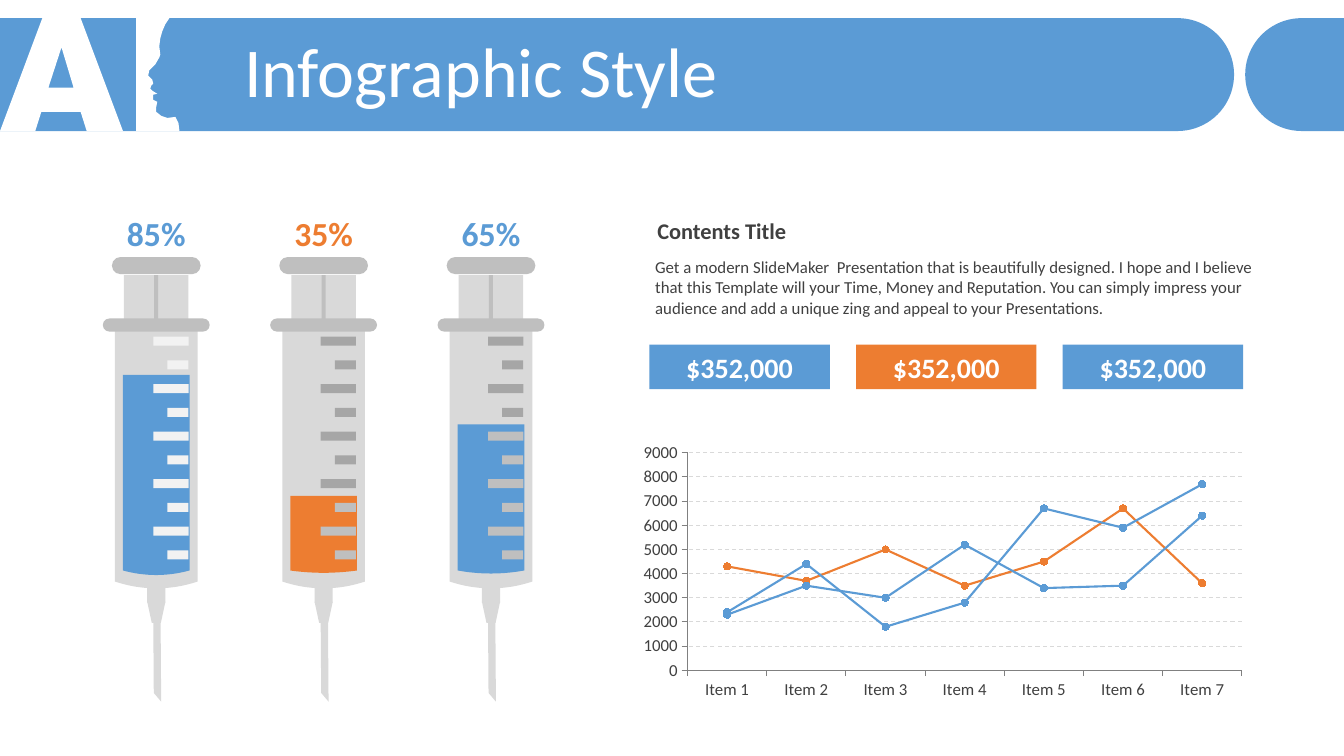
from math import cos, pi, sin
from pptx import Presentation
from pptx.chart import data as cd
from pptx.dml.color import RGBColor
from pptx.enum import chart as ch, dml, shapes as sh, text as tx
from pptx.util import Inches, Pt

COLORS = {"blue": "5B9BD5", "orange": "ED7D31", "white": "FFFFFF", "text": "404040",
          "body": "D9D9D9", "cap": "BFBFBF", "mark": "A6A6A6", "pale": "F2F2F2",
          "axis": "808080"}
RGB = {name: RGBColor.from_string(value) for name, value in COLORS.items()}
SHAPE = sh.MSO_SHAPE


def add(parent, geometry, color, box=None):
    if box:
        sp = parent.shapes.add_shape(geometry, *[Inches(v) for v in box])
    else:
        contours = [[(Inches(x), Inches(y)) for x, y in c] for c in geometry]
        builder = parent.shapes.build_freeform(*contours[0][0], scale=1.0)
        for i, points in enumerate(contours):
            if i:
                builder.move_to(*points[0])
            builder.add_line_segments(points[1:], close=True)
        sp = builder.convert_to_shape()
    sp.shadow.inherit = False
    sp.fill.solid()
    sp.fill.fore_color.rgb = RGB[color]
    sp.line.fill.background()
    return sp


def write(sp, words, size, color, bold=False, align=tx.PP_ALIGN.LEFT, inset=0.1):
    tf = sp.text_frame
    tf.word_wrap = True
    tf.margin_left = tf.margin_right = Inches(inset)
    p = tf.paragraphs[0]
    p.text = words
    p.alignment = align
    p.font.name = "Calibri"
    p.font.size = Pt(size)
    p.font.bold = bold
    p.font.color.rgb = RGB[color]
    return p


prs = Presentation()
prs.slide_width, prs.slide_height = Inches(13.33), Inches(7.5)
s = prs.slides.add_slide(prs.slide_layouts[5])

angles = [pi * i / 40 - pi / 2 for i in range(41)]
right_end = [(11.68 + 0.56 * cos(a), 0.74 + 0.56 * sin(a)) for a in angles]
left_end = [(12.91 - 0.56 * cos(a), 0.74 + 0.56 * sin(a)) for a in angles]
letter = [(0.42, 0.18), (0.8, 0.18), (1.22, 1.3), (0.86, 1.3), (0.8, 1.11),
          (0.41, 1.11), (0.35, 1.3), (0, 1.3)]
letter_hole = [(0.61, 0.47), (0.48, 0.87), (0.73, 0.87)]
profile = [(1.35, 0.18), (1.68, 0.18), (1.64, 0.24), (1.61, 0.31), (1.59, 0.38),
           (1.58, 0.46), (1.59, 0.54), (1.58, 0.57), (1.54, 0.64), (1.51, 0.67),
           (1.48, 0.7), (1.47, 0.75), (1.51, 0.79), (1.52, 0.83), (1.5, 0.85),
           (1.49, 0.88), (1.51, 0.9), (1.56, 0.93), (1.52, 0.94), (1.52, 0.99),
           (1.56, 1.01), (1.55, 1.06), (1.55, 1.11), (1.6, 1.15), (1.66, 1.17),
           (1.74, 1.16), (1.77, 1.22), (1.78, 1.3), (1.35, 1.3)]
add(s, [[(0, 0.18)] + right_end + [(0, 1.3)]], "blue")
add(s, [letter, letter_hole, profile], "white")
add(s, [left_end + [(13.33, 1.3), (13.33, 0.18)]], "blue")

title = s.shapes.title
title._element.getparent().append(title._element)
title.left, title.top, title.width, title.height = [Inches(v) for v in (2.32, 0.37, 10.69, 0.79)]
p = write(title, "Infographic Style", 50, "white")
p.line_spacing, p.space_before = 0.8, Pt(10)
title.text_frame.vertical_anchor = tx.MSO_ANCHOR.MIDDLE
title.text_frame.auto_size = tx.MSO_AUTO_SIZE.NONE

parts = [(SHAPE.ROUNDED_RECTANGLE, "cap", (1.11, 2.55, 0.88, 0.17), 0, 0.5),
         (SHAPE.RECTANGLE, "body", (1.23, 2.73, 0.64, 0.46), 0, None),
         (SHAPE.RECTANGLE, "body", (1.46, 5.81, 0.18, 0.17), 0, None),
         (SHAPE.TRAPEZOID, "body", (1.46, 5.97, 0.18, 0.21), 180, None),
         (SHAPE.DIAGONAL_STRIPE, "body", (1.26, 6.03, 0.67, 0.81), 320, 0.86),
         (SHAPE.ROUNDED_RECTANGLE, "cap", (1.02, 3.16, 1.06, 0.13), 0, 0.5),
         (SHAPE.RECTANGLE, "cap", (1.53, 2.73, 0.04, 0.46), 0, None)]
syringes = [("85%", "blue", 3.72, 0.06, "pale", "pale"),
            ("35%", "orange", 4.92, 0.03, "mark", "cap"),
            ("65%", "blue", 4.21, 0.04, "mark", "cap")]
steps = [i / 16 for i in range(17)]
for i, (percent, color, level, bulge, dry, wet) in enumerate(syringes):
    dx = 1.66 * i
    syringe = s.shapes.add_group_shape()
    for left, width, top, bottom, depth, fill in (
            (1.14, 0.82, 3.28, 5.77, 0.09, "body"),
            (1.22, 0.66, level, 5.66, bulge, color)):
        x = left + dx
        curve = [(x + width * t, bottom + 3 * depth * t * (1 - t)) for t in steps]
        add(syringe, [[(x + width, top), (x, top)] + curve], fill)
    for shape, fill, (left, top, width, height), angle, adj in parts:
        sp = add(syringe, shape, fill, (left + dx, top, width, height))
        sp.rotation = angle
        if adj is not None:
            sp.adjustments[0] = adj
    for n in range(10):
        left, width = (1.66, 0.21) if n % 2 else (1.52, 0.35)
        y = 3.34 + 2.12 / 9 * n
        add(syringe, SHAPE.RECTANGLE, wet if y > level else dry, (left + dx, y, width, 0.09))
    label = s.shapes.add_textbox(Inches(1.06 + dx), Inches(2.06), Inches(0.98), Inches(0.5))
    write(label, percent, 24, color, True, tx.PP_ALIGN.CENTER, 0.12)

intro = s.shapes.add_textbox(Inches(6.4), Inches(2.5), Inches(6.17), Inches(0.71))
write(intro, "Get a modern SlideMaker  Presentation that is beautifully designed. "
      "I hope and I believe that this Template will your Time, Money and Reputation. "
      "You can simply impress your audience and add a unique zing and appeal to your "
      "Presentations.", 12, "text")
heading = s.shapes.add_textbox(Inches(6.4), Inches(2.11), Inches(6.18), Inches(0.37))
write(heading, "Contents Title", 16, "text", True, inset=0.12)

for i, color in enumerate(("blue", "orange", "blue")):
    price = add(s, SHAPE.RECTANGLE, color, (6.44 + 2.05 * i, 3.42, 1.79, 0.44))
    write(price, "$352,000", 20, "white", True, tx.PP_ALIGN.CENTER)
    price.text_frame.vertical_anchor = tx.MSO_ANCHOR.MIDDLE

data = cd.CategoryChartData()
data.categories = [f"Item {n}" for n in range(1, 8)]
data.add_series("Series 1", (4300, 3700, 5000, 3500, 4500, 6700, 3600))
data.add_series("Series 2", (2400, 4400, 1800, 2800, 6700, 5900, 7700))
data.add_series("Series 3", (2300, 3500, 3000, 5200, 3400, 3500, 6400))
chart = s.shapes.add_chart(ch.XL_CHART_TYPE.LINE_MARKERS, Inches(6.26), Inches(4.34),
                           Inches(6.18), Inches(2.66), data).chart
chart.has_legend = chart.has_title = False
chart.font.name, chart.font.size = "Calibri", Pt(12)
chart.font.color.rgb = RGB["text"]
chart.plots[0].vary_by_categories = False
for series, color in zip(chart.plots[0].series, ("orange", "blue", "blue")):
    series.smooth = False
    series.format.line.color.rgb = RGB[color]
    series.format.line.width = Pt(1.5)
    series.marker.style = ch.XL_MARKER_STYLE.CIRCLE
    series.marker.size = 5
    series.marker.format.fill.solid()
    series.marker.format.fill.fore_color.rgb = RGB[color]
    series.marker.format.line.color.rgb = RGB[color]
for axis in (chart.category_axis, chart.value_axis):
    axis.major_tick_mark = ch.XL_TICK_MARK.OUTSIDE
    axis.format.line.color.rgb = RGB["axis"]
    axis.format.line.width = Pt(0.75)
values = chart.value_axis
values.minimum_scale, values.maximum_scale, values.major_unit = 0, 9000, 1000
values.tick_labels.number_format = "General"
values.tick_labels.number_format_is_linked = False
grid = values.major_gridlines.format.line
grid.color.rgb = RGB["body"]
grid.width = Pt(0.75)
grid.dash_style = dml.MSO_LINE.DASH

prs.save("out.pptx")
